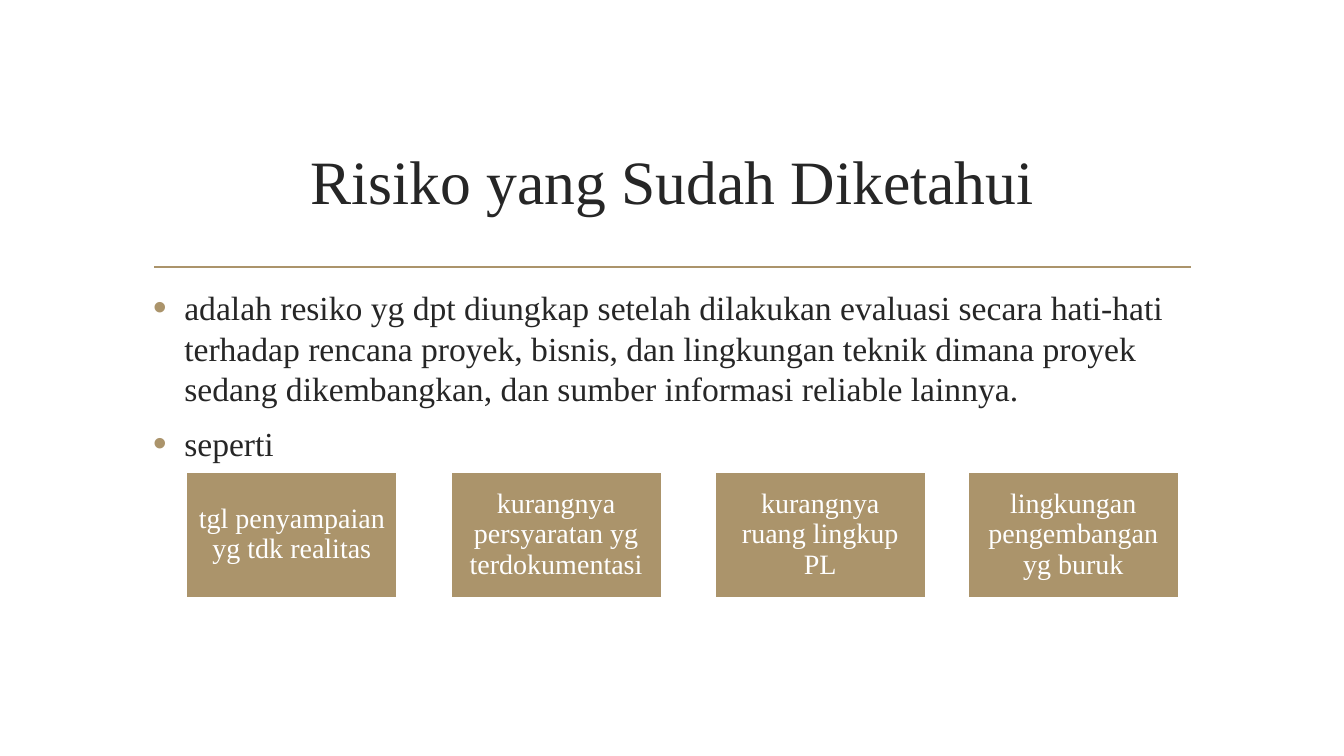
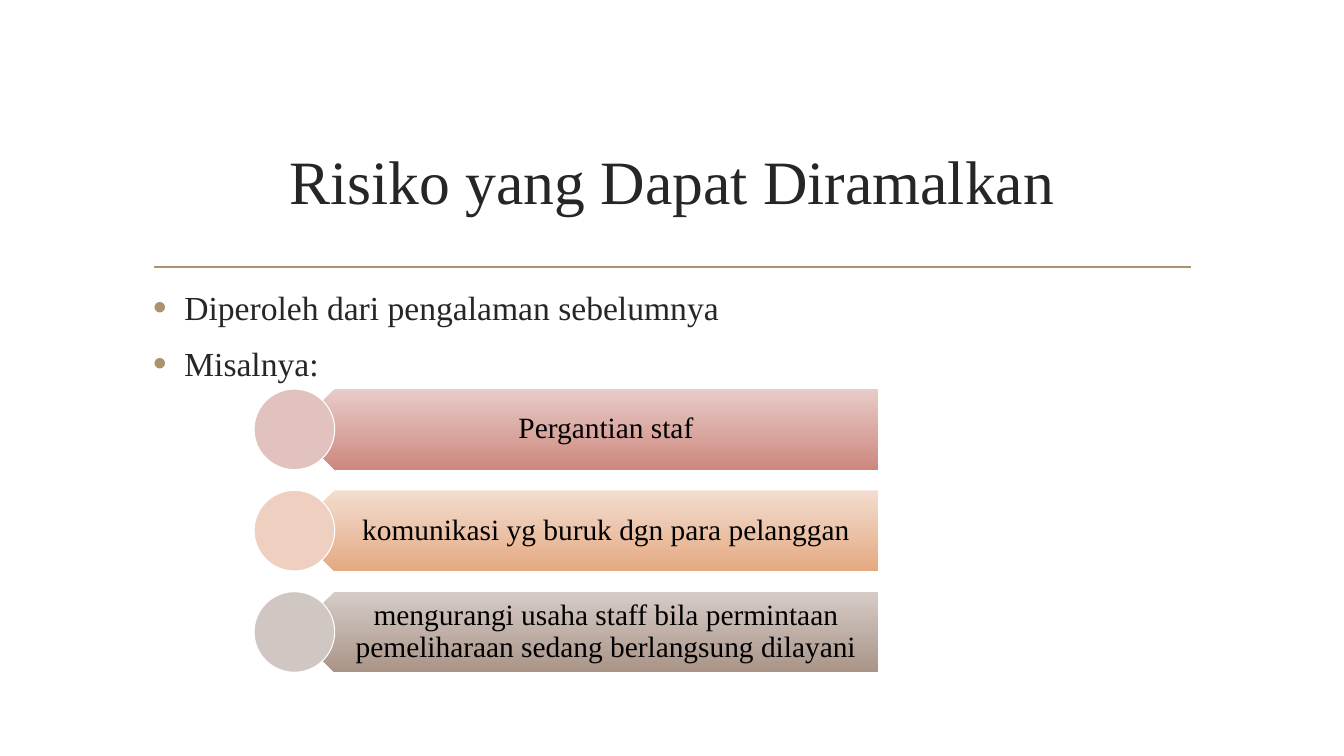
from dataclasses import dataclass
from typing import Any

import pptx
import pptx.dml.color
import pptx.enum.shapes
import pptx.enum.text
import pptx.oxml.ns
import pptx.util
from lxml import etree

Inches = pptx.util.Inches
Pt = pptx.util.Pt
RGB = pptx.dml.color.RGBColor.from_string
Shapes = pptx.enum.shapes.MSO_SHAPE
Align = pptx.enum.text.PP_ALIGN
Anchor = pptx.enum.text.MSO_ANCHOR
qn = pptx.oxml.ns.qn


@dataclass(frozen=True)
class Theme:
    font: str = "Times New Roman"
    ink: str = "262626"
    accent: str = "AB946B"
    white: str = "FFFFFF"
    black: str = "000000"
    title_size: float = 44
    body_size: float = 24
    box_size: float = 20
    band_size: float = 21
    rule_width: float = 1.25
    circle_line: float = 0.75


THEME = Theme()


@dataclass(frozen=True)
class Box:
    left: float
    text: str


@dataclass(frozen=True)
class Band:
    text: str
    light: str
    dark: str
    circle: str


BOXES = [
    Box(1.85, "tgl penyampaian yg tdk realitas"),
    Box(4.47, "kurangnya persyaratan yg terdokumentasi"),
    Box(7.09, "kurangnya ruang lingkup PL"),
    Box(9.6, "lingkungan pengembangan yg buruk"),
]
BOX_TOP, BOX_WIDTH, BOX_HEIGHT, BOX_INSET = 4.68, 2.09, 1.25, 0.11

BANDS = [
    Band("Pergantian staf", "E8CCC9", "CD887E", "E2C2BF"),
    Band("komunikasi yg buruk dgn para pelanggan", "F3DDD0", "E4A981", "EFD0C0"),
    Band("mengurangi usaha staff bila permintaan pemeliharaan sedang berlangsung dilayani",
         "D6CCC7", "AA9487", "D1C7C2"),
]
BAND_TOP, BAND_PITCH, BAND_HEIGHT = 3.86, 1.005, 0.8
BAND_LEFT, BAND_WIDTH = 2.92, 5.79


def place(left: float, top: float, width: float, height: float) -> tuple:
    return Inches(left), Inches(top), Inches(width), Inches(height)


def add_run(paragraph: Any, text: str, size: float, color: str) -> None:
    run = paragraph.add_run()
    run.text = text
    run.font.name = THEME.font
    run.font.size = Pt(size)
    run.font.color.rgb = RGB(color)


def write_centred(frame: Any, text: str, size: float, color: str,
                  insets: tuple = (0.1, 0.05, 0.1, 0.05), spacing: float = 1.0) -> None:
    """Fill a frame with one centred paragraph; insets are left, top, right, bottom."""
    frame.word_wrap = True
    frame.vertical_anchor = Anchor.MIDDLE
    frame.margin_left, frame.margin_top, frame.margin_right, frame.margin_bottom = map(Inches, insets)
    paragraph = frame.paragraphs[0]
    paragraph.alignment = Align.CENTER
    paragraph.line_spacing = spacing
    add_run(paragraph, text, size, color)


def add_bullet(paragraph: Any) -> None:
    props = paragraph._p.get_or_add_pPr()
    props.set("marL", str(Inches(0.31)))
    props.set("indent", str(-Inches(0.31)))
    bullet_color = etree.SubElement(props, qn("a:buClr"))
    etree.SubElement(bullet_color, qn("a:srgbClr"), val=THEME.accent)
    etree.SubElement(props, qn("a:buSzPct"), val="115000")
    etree.SubElement(props, qn("a:buFont"), typeface="Arial")
    etree.SubElement(props, qn("a:buChar"), char="•")


def add_base_slide(deck: Any, title: str, points: list[str]) -> Any:
    """Add a slide with the shared title, rule and bullet list."""
    slide = deck.slides.add_slide(deck.slide_layouts[6])
    rule = slide.shapes.add_connector(pptx.enum.shapes.MSO_CONNECTOR.STRAIGHT,
                                      Inches(1.53), Inches(2.65), Inches(11.81), Inches(2.65))
    rule.line.color.rgb = RGB(THEME.accent)
    rule.line.width = Pt(THEME.rule_width)
    etree.SubElement(rule._element.spPr, qn("a:effectLst"))

    heading = slide.shapes.add_textbox(*place(1.42, 1.07, 10.5, 1.43))
    write_centred(heading.text_frame, title, THEME.title_size, THEME.ink)

    body = slide.shapes.add_textbox(*place(1.42, 2.8, 10.5, 3.63)).text_frame
    body.word_wrap = True
    for index, point in enumerate(points):
        paragraph = body.add_paragraph() if index else body.paragraphs[0]
        paragraph.space_before = Pt(0.2 * THEME.body_size)
        paragraph.space_after = Pt(6)
        add_bullet(paragraph)
        add_run(paragraph, point, THEME.body_size, THEME.ink)
    return slide


def add_box(slide: Any, box: Box) -> None:
    panel = slide.shapes.add_shape(Shapes.RECTANGLE, *place(box.left, BOX_TOP, BOX_WIDTH, BOX_HEIGHT))
    panel.shadow.inherit = False
    panel.fill.solid()
    panel.fill.fore_color.rgb = RGB(THEME.accent)
    panel.line.color.rgb = RGB(THEME.white)
    panel.line.width = Pt(THEME.rule_width)
    write_centred(panel.text_frame, box.text, THEME.box_size, THEME.white, (BOX_INSET,) * 4, 0.9)


def add_band(slide: Any, band: Band, top: float) -> None:
    """Add a left-pointing gradient band with its label and a circle over the tip."""
    parts = slide.shapes.add_group_shape().shapes
    arrow = parts.add_shape(Shapes.PENTAGON, *place(BAND_LEFT, top, BAND_WIDTH, BAND_HEIGHT))
    arrow._element.spPr.find(qn("a:xfrm")).set("flipH", "1")
    arrow.shadow.inherit = False
    arrow.line.fill.background()
    arrow.fill.gradient()
    arrow.fill.gradient_angle = 270
    for stop, color in zip(arrow.fill.gradient_stops, (band.light, band.dark)):
        stop.color.rgb = RGB(color)

    label = parts.add_textbox(*place(BAND_LEFT + 0.2, top, BAND_WIDTH - 0.2, BAND_HEIGHT))
    write_centred(label.text_frame, band.text, THEME.band_size, THEME.black,
                  (0.35, 0.09, 0.16, 0.09), 0.9)

    circle = parts.add_shape(Shapes.OVAL, *place(BAND_LEFT - BAND_HEIGHT / 2, top, BAND_HEIGHT, BAND_HEIGHT))
    circle.shadow.inherit = False
    circle.fill.solid()
    circle.fill.fore_color.rgb = RGB(band.circle)
    circle.line.color.rgb = RGB(THEME.white)
    circle.line.width = Pt(THEME.circle_line)


def main() -> None:
    deck = pptx.Presentation()
    deck.slide_width, deck.slide_height = Inches(13.33), Inches(7.5)

    known = add_base_slide(deck, "Risiko yang Sudah Diketahui", [
        "adalah resiko yg dpt diungkap setelah dilakukan evaluasi secara hati-hati "
        "terhadap rencana proyek, bisnis, dan lingkungan teknik dimana proyek "
        "sedang dikembangkan, dan sumber informasi reliable lainnya.",
        "seperti",
    ])
    for box in BOXES:
        add_box(known, box)

    predictable = add_base_slide(deck, "Risiko yang Dapat Diramalkan",
                                 ["Diperoleh dari pengalaman sebelumnya", "Misalnya:"])
    for row, band in enumerate(BANDS):
        add_band(predictable, band, BAND_TOP + row * BAND_PITCH)

    deck.save("out.pptx")


if __name__ == "__main__":
    main()
